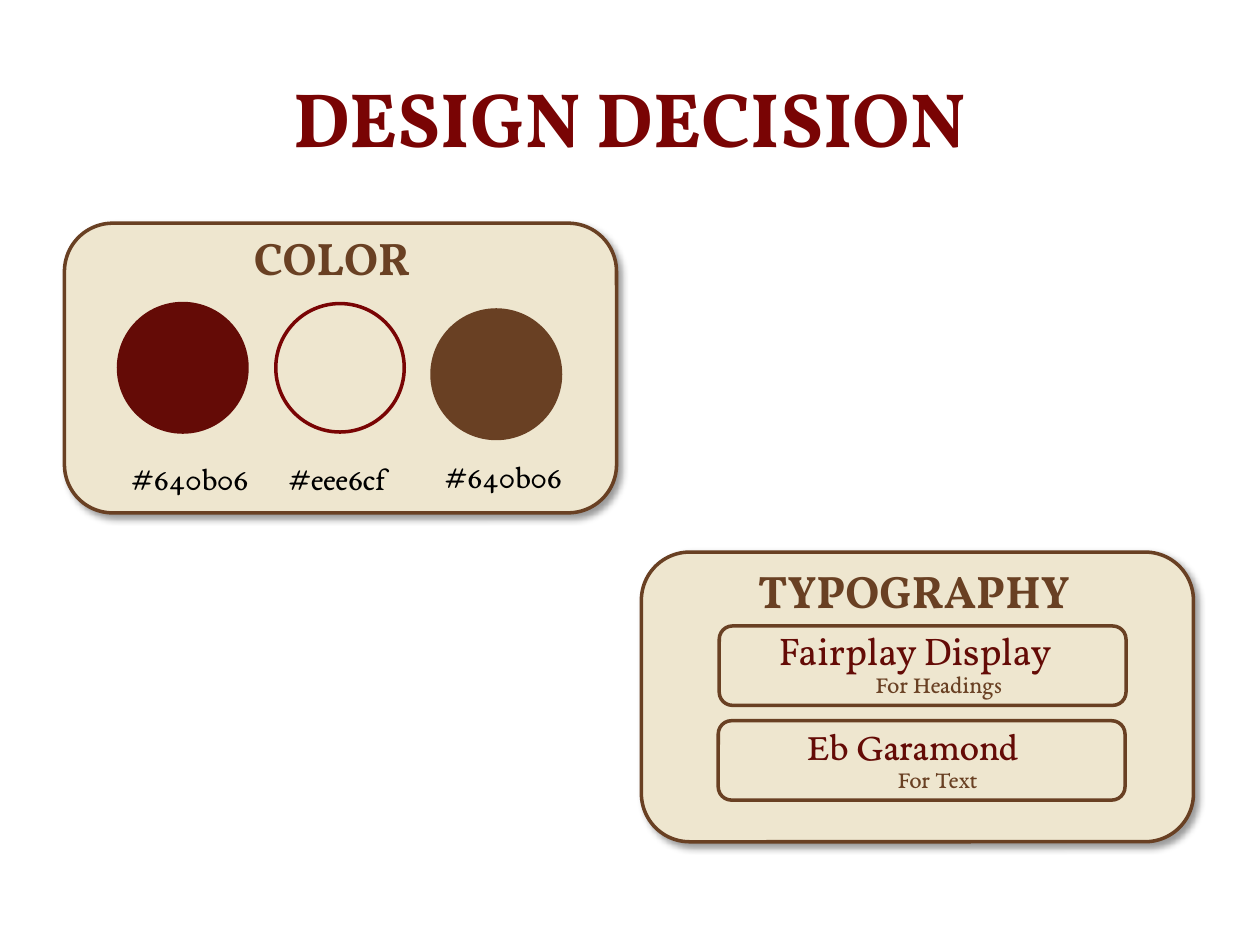
from lxml.etree import SubElement
from pptx import Presentation
from pptx.dml.color import RGBColor
from pptx.enum.shapes import MSO_SHAPE as Shape
from pptx.enum.text import MSO_ANCHOR as Anchor, PP_ALIGN as Align
from pptx.oxml.ns import qn
from pptx.util import Cm, Pt

# Content
TITLE = "DESIGN DECISION"
HEADING_FONT, TEXT_FONT = "Vollkorn", "EB Garamond"
RED, MAROON, CREAM, BROWN, BLACK = "790404", "640B06", "EEE6CF", "694023", "000000"

# Heading, card corner, heading box (cm)
COLOR_CARD = ("COLOR", (1.3, 4.5), (4.7, 4.52, 3.99, 1.37))
TYPE_CARD = ("TYPOGRAPHY", (12.93, 11.13), (14.73, 11.23, 7.39, 1.37))
CARD_SIZE = (11.13, 5.84)

# Label, fill, outline, circle corner, label top and width (cm)
SWATCHES = [
    ("#eee6cf", CREAM, RED, (5.56, 6.12), 9.12, 2.59),
    ("#640b06", MAROON, MAROON, (2.39, 6.12), 9.12, 3.18),
    ("#640b06", BROWN, BROWN, (8.71, 6.25), 9.09, 3.18),
]
CIRCLE = 2.59

# Typeface, its use, font, frame corner (cm)
TYPEFACES = [
    ("Fairplay Display ", "For Headings", HEADING_FONT, (14.5, 12.62)),
    ("Eb Garamond ", "For Text", TEXT_FONT, (14.48, 14.53)),
]
FRAME_SIZE = (8.2, 1.6)


def rgb(value):
    return RGBColor.from_string(value)


def write(frame, text, *, size, font, color, bold=False, align=Align.CENTER):
    frame.word_wrap = True
    para = frame.paragraphs[0]
    para.alignment = align
    span = para.add_run()
    span.text = text
    span.font.size, span.font.name, span.font.bold = Pt(size), font, bold
    span.font.color.rgb = rgb(color)


def add_text(parent, place, text, **style):
    box = parent.shapes.add_textbox(*map(Cm, place))
    write(box.text_frame, text, **style)
    return box


def add_outline(parent, kind, place, line, fill=None):
    shape = parent.shapes.add_shape(kind, *map(Cm, place))
    shape.shadow.inherit = False
    if fill:
        shape.fill.solid()
        shape.fill.fore_color.rgb = rgb(fill)
    else:
        shape.fill.background()
    shape.line.color.rgb = rgb(line)
    shape.line.width = Pt(2)
    return shape


def add_shadow(shape):
    effects = shape._element.spPr.find(qn("a:effectLst"))
    shadow = SubElement(effects, qn("a:outerShdw"), blurRad=str(Pt(4)), dist=str(Pt(3)),
                        dir=str(45 * 60000), algn="tl", rotWithShape="0")
    color = SubElement(shadow, qn("a:srgbClr"), val=BLACK)
    SubElement(color, qn("a:alpha"), val="40000")


def add_card(page, heading, corner, heading_place):
    group = page.shapes.add_group_shape()
    add_shadow(add_outline(group, Shape.ROUNDED_RECTANGLE, corner + CARD_SIZE, BROWN, CREAM))
    add_text(group, heading_place, heading, size=26, font=HEADING_FONT, color=BROWN, bold=True)


def add_swatch(page, label, fill, line, corner, label_top, label_width):
    group = page.shapes.add_group_shape()
    add_outline(group, Shape.OVAL, corner + (CIRCLE, CIRCLE), line, fill)
    add_text(group, (corner[0], label_top, label_width, 1.02), label,
             size=18, font=TEXT_FONT, color=BLACK, align=Align.LEFT)


def add_typeface(page, name, use, font, corner):
    left, top = corner
    group = page.shapes.add_group_shape()
    add_outline(group, Shape.ROUNDED_RECTANGLE, corner + FRAME_SIZE, BROWN)
    add_text(group, (left + 0.61, top - 0.1, 6.81, 1.19), name,
             size=22, font=font, color=MAROON)
    add_text(group, (left + 1.02, top + 0.74, 6.81, 0.86), use,
             size=14, font=TEXT_FONT, color=BROWN)


def main():
    deck = Presentation()
    deck.slide_width, deck.slide_height = Cm(25.4), Cm(19.05)
    page = deck.slides.add_slide(deck.slide_layouts[5])

    # Title
    title = page.shapes.title
    title.left, title.top, title.width, title.height = map(Cm, (1.27, 0.76, 22.86, 3.18))
    title.text_frame.vertical_anchor = Anchor.MIDDLE
    write(title.text_frame, TITLE, size=44, font=HEADING_FONT, color=RED, bold=True)

    # Colour card
    add_card(page, *COLOR_CARD)
    for swatch in SWATCHES:
        add_swatch(page, *swatch)

    # Typography card
    add_card(page, *TYPE_CARD)
    for typeface in TYPEFACES:
        add_typeface(page, *typeface)

    deck.save("out.pptx")


if __name__ == "__main__":
    main()
